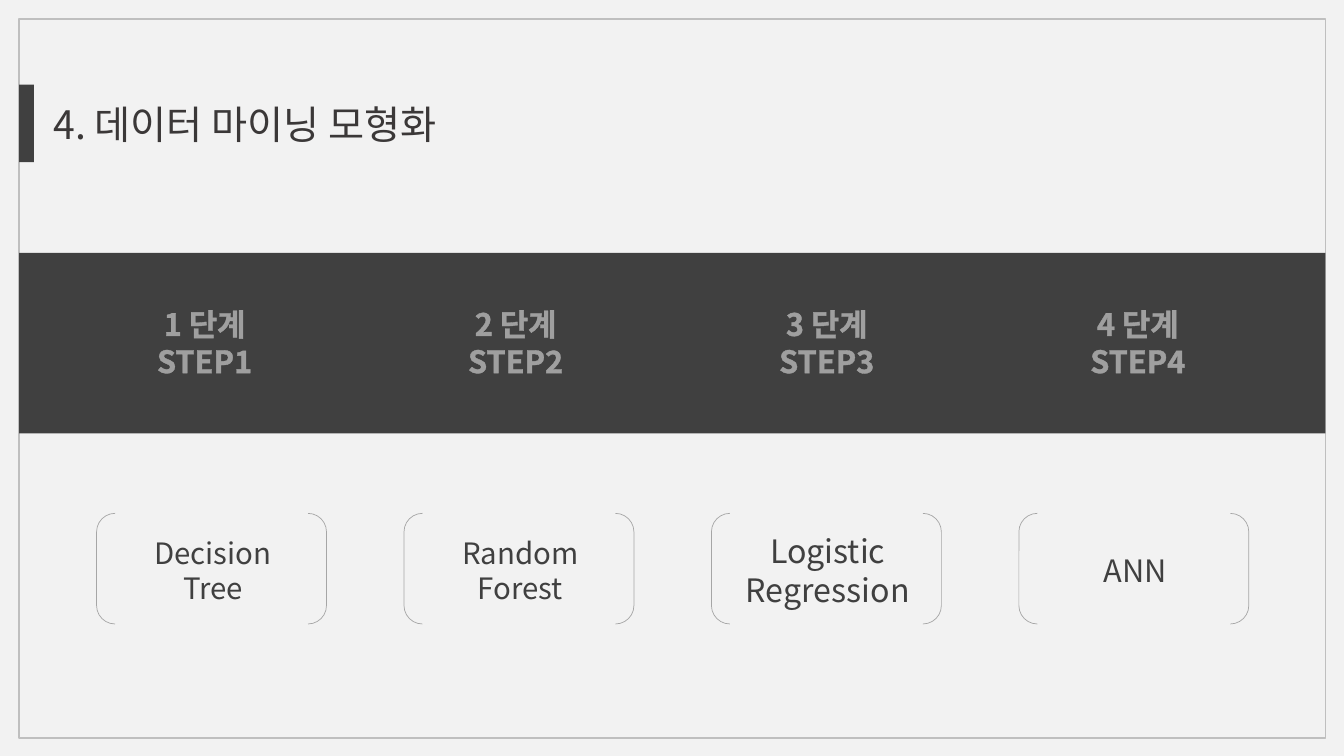
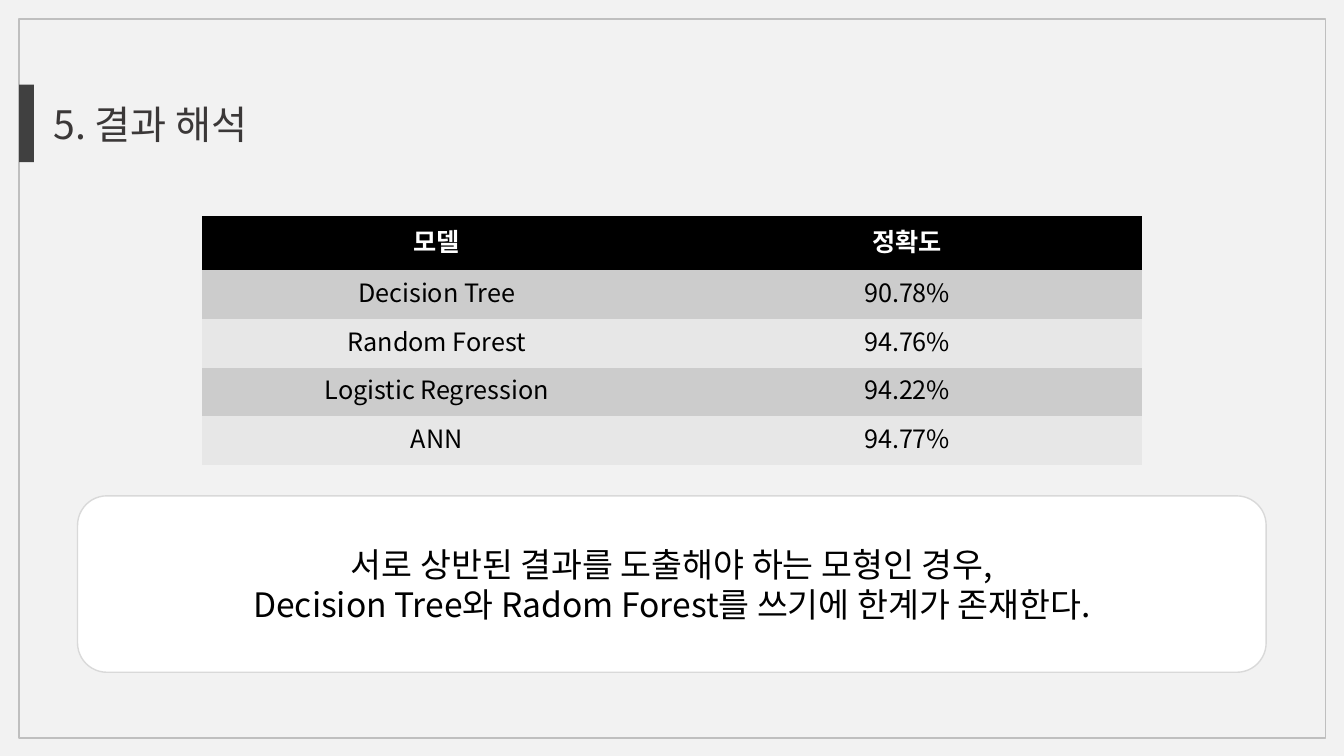
import pptx
import pptx.dml.color
import pptx.enum.shapes
import pptx.enum.text
import pptx.oxml
import pptx.oxml.ns
import pptx.util
from lxml import etree

Pt = pptx.util.Pt
RGBColor = pptx.dml.color.RGBColor
SHAPE = pptx.enum.shapes.MSO_SHAPE
ALIGN = pptx.enum.text.PP_ALIGN
ANCHOR = pptx.enum.text.MSO_ANCHOR
qn = pptx.oxml.ns.qn

FONT = "Noto Sans CJK KR"
LINE_FACTOR = 1.21
NO_STYLE_TABLE = "{2D5ABB26-0587-4C30-8999-92F81FD0307C}"

PAPER = RGBColor(0xF2, 0xF2, 0xF2)
WHITE = RGBColor(0xFF, 0xFF, 0xFF)
BLACK = RGBColor(0, 0, 0)
CHARCOAL = RGBColor(0x40, 0x40, 0x40)
TITLE_INK = RGBColor(0x3B, 0x38, 0x38)
FRAME_GREY = RGBColor(0xBF, 0xBF, 0xBF)
BRACKET_GREY = RGBColor(0xA6, 0xA6, 0xA6)
CARD_EDGE = RGBColor(0xD9, 0xD9, 0xD9)
ROW_DARK = RGBColor(0xCC, 0xCC, 0xCC)
ROW_LIGHT = RGBColor(0xE7, 0xE7, 0xE7)

FRAME = (13.7, 13.7, 933.1, 513.4)

STEPS = [
    ("1 단계", "STEP1", ["Decision Tree"], 21),
    ("2 단계", "STEP2", ["Random", "Forest"], 21),
    ("3 단계", "STEP3", ["Logistic", "Regression"], 23),
    ("4 단계", "STEP4", ["ANN"], 22),
]
RESULTS = [
    ("모델", "정확도"),
    ("Decision Tree", "90.78%"),
    ("Random Forest", "94.76%"),
    ("Logistic Regression", "94.22%"),
    ("ANN", "94.77%"),
]
CONCLUSION = [
    "서로 상반된 결과를 도출해야 하는 모형인 경우,",
    "Decision Tree와 Radom Forest를 쓰기에 한계가 존재한다.",
]


def outline_run(r, color, alpha):
    """Give a run's letters a thin outline; alpha is its opacity in percent."""
    ln = pptx.oxml.parse_xml(
        '<a:ln xmlns:a="http://schemas.openxmlformats.org/drawingml/2006/main" w="9525">'
        f'<a:solidFill><a:srgbClr val="{color}"><a:alpha val="{alpha * 1000}"/></a:srgbClr>'
        '</a:solidFill></a:ln>')
    r.font._element.insert(0, ln)


def write_lines(tf, lines, size, color, bold=False, align=ALIGN.CENTER, outline=None):
    for i, line in enumerate(lines):
        p = tf.paragraphs[0] if i == 0 else tf.add_paragraph()
        p.alignment = align
        p.line_spacing = Pt(round(size * LINE_FACTOR, 1))
        r = p.add_run()
        r.text = line
        r.font.size = Pt(size)
        r.font.bold = bold
        r.font.name = FONT
        r.font.color.rgb = color
        etree.SubElement(r.font._element, qn("a:ea")).set("typeface", FONT)
        if outline:
            outline_run(r, *outline)


def add_shape(s, kind, box, fill=None, line=None, width=1):
    sp = s.shapes.add_shape(kind, *map(Pt, box))
    sp.shadow.inherit = False
    if fill is None:
        sp.fill.background()
    else:
        sp.fill.solid()
        sp.fill.fore_color.rgb = fill
    if line is None:
        sp.line.fill.background()
    else:
        sp.line.color.rgb = line
        sp.line.width = Pt(width)
    return sp


def add_label(s, box, lines, size, color, **style):
    tf = s.shapes.add_textbox(*map(Pt, box)).text_frame
    tf.word_wrap = True
    tf.vertical_anchor = ANCHOR.MIDDLE
    write_lines(tf, lines, size, color, **style)


def add_framed_slide(prs, title, title_width):
    """Add a slide with the frame, the marker bar and the title."""
    s = prs.slides.add_slide(prs.slide_layouts[5])
    x, y, w, h = FRAME
    add_shape(s, SHAPE.RECTANGLE, FRAME, line=FRAME_GREY)
    add_shape(s, SHAPE.RECTANGLE, (x, y + 46.8, 10.5, 55.4), fill=CHARCOAL)
    sp = s.shapes.title
    sp.left, sp.top, sp.width, sp.height = map(Pt, (x + 17.3, y + 53.8, title_width, 41))
    tf = sp.text_frame
    tf.word_wrap = True
    tf.auto_size = pptx.enum.text.MSO_AUTO_SIZE.NONE
    tf.vertical_anchor = ANCHOR.TOP
    write_lines(tf, [title], 28, TITLE_INK, align=ALIGN.LEFT, outline=(BLACK, 50))
    return s


def add_step_band(s, box):
    x, y, w, h = box
    add_shape(s, SHAPE.RECTANGLE, box, fill=CHARCOAL)
    for i, (korean, english, _, _) in enumerate(STEPS):
        add_label(s, (x + 23 + 222.2 * i, y + 33.4, 218.9, 60.5), [korean, english],
                  22, WHITE, bold=True, outline=(WHITE, 50))


def add_model_row(s, box):
    """Place one bracketed model name per step, spread evenly over the box."""
    x, y, w, h = box
    bracket_w, label_w = 164.2, 144
    pitch = (w - bracket_w) / (len(STEPS) - 1)
    for i, (_, _, lines, size) in enumerate(STEPS):
        left = x + pitch * i
        add_shape(s, SHAPE.DOUBLE_BRACKET, (left, y, bracket_w, h), line=BRACKET_GREY, width=0.5)
        add_label(s, (left + (bracket_w - label_w) / 2 + 1, y + 1, label_w, h), lines,
                  size, CHARCOAL, outline=(CHARCOAL, 30))


def add_result_table(s, box):
    x, y, w, h = box
    header_h = 38.9
    table = s.shapes.add_table(len(RESULTS), 2, *map(Pt, box)).table
    table._tbl.tblPr.find(qn("a:tableStyleId")).text = NO_STYLE_TABLE
    for col in table.columns:
        col.width = Pt(w / 2)
    for i, values in enumerate(RESULTS):
        header = i == 0
        table.rows[i].height = Pt(header_h if header else (h - header_h) / (len(RESULTS) - 1))
        fill = BLACK if header else (ROW_DARK if i % 2 else ROW_LIGHT)
        for j, value in enumerate(values):
            cell = table.cell(i, j)
            cell.fill.solid()
            cell.fill.fore_color.rgb = fill
            cell.vertical_anchor = ANCHOR.MIDDLE
            write_lines(cell.text_frame, [value], 18, WHITE if header else BLACK, bold=header)


def add_conclusion(s, box):
    sp = add_shape(s, SHAPE.ROUNDED_RECTANGLE, box, fill=WHITE, line=CARD_EDGE)
    tf = sp.text_frame
    tf.word_wrap = True
    tf.vertical_anchor = ANCHOR.MIDDLE
    write_lines(tf, CONCLUSION, 24, BLACK)


def main():
    prs = pptx.Presentation()
    prs.slide_width, prs.slide_height = Pt(960), Pt(540)
    bg = prs.slide_master.background.fill
    bg.solid()
    bg.fore_color.rgb = PAPER

    s = add_framed_slide(prs, "4. 데이터 마이닝 모형화", 664.6)
    add_step_band(s, (FRAME[0], 180.7, FRAME[2], 128.9))
    add_model_row(s, (69, 366.7, 823, 79))

    s = add_framed_slide(prs, "5. 결과 해석", 382.3)
    add_result_table(s, (144, 154.1, 672, 178.1))
    add_conclusion(s, (55.4, 354.2, 849, 126))

    prs.save("out.pptx")


if __name__ == "__main__":
    main()
